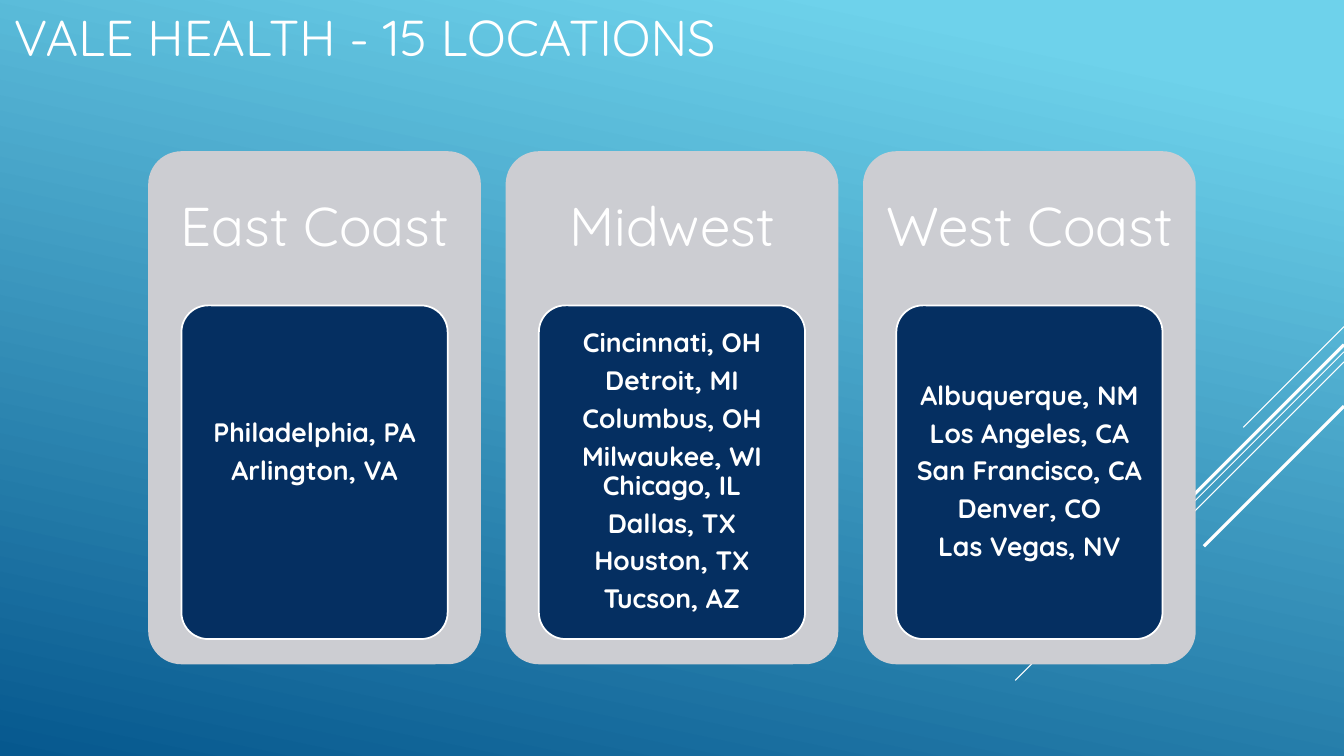
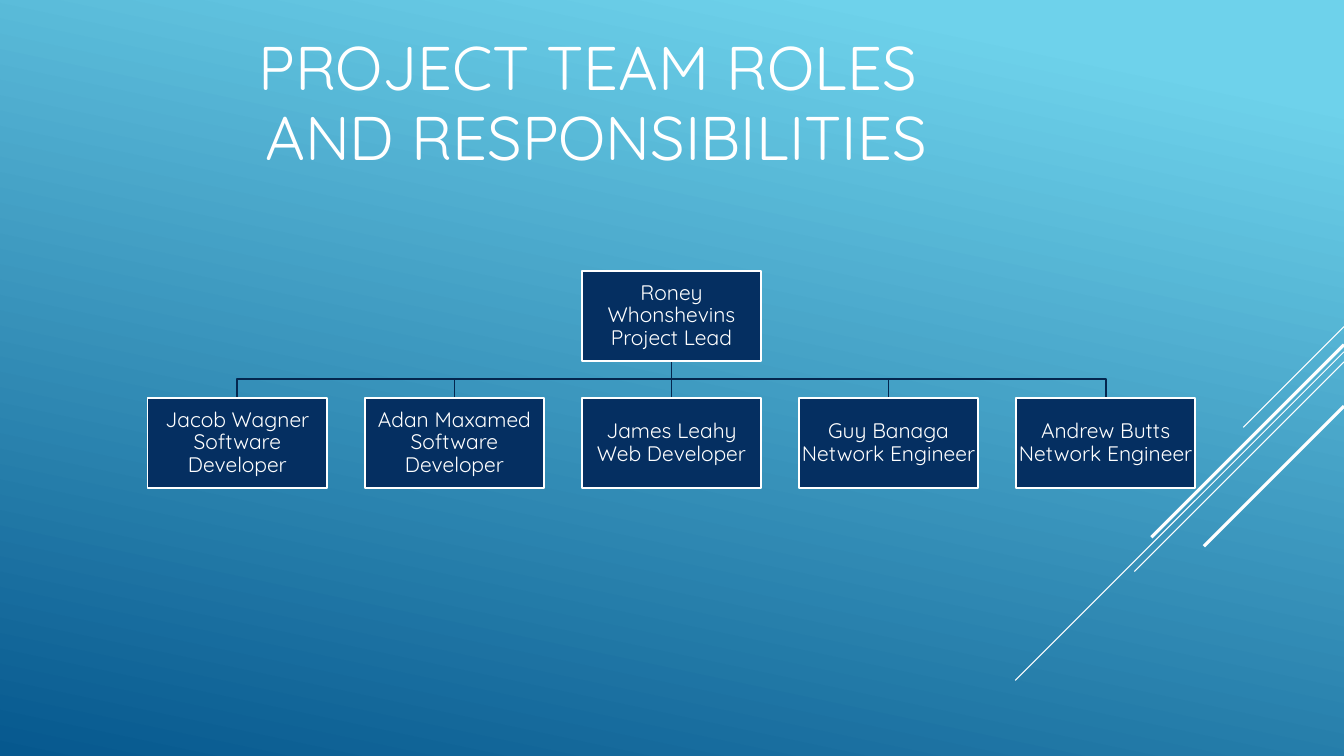
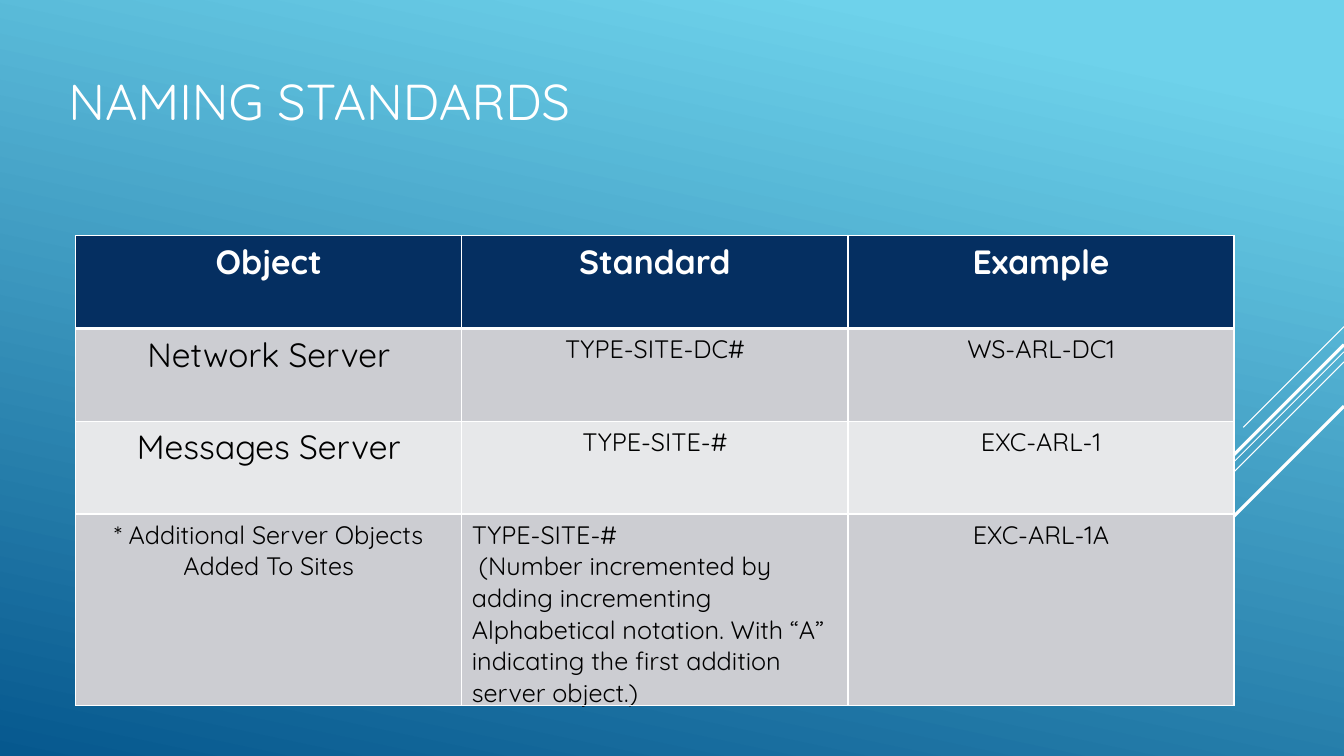
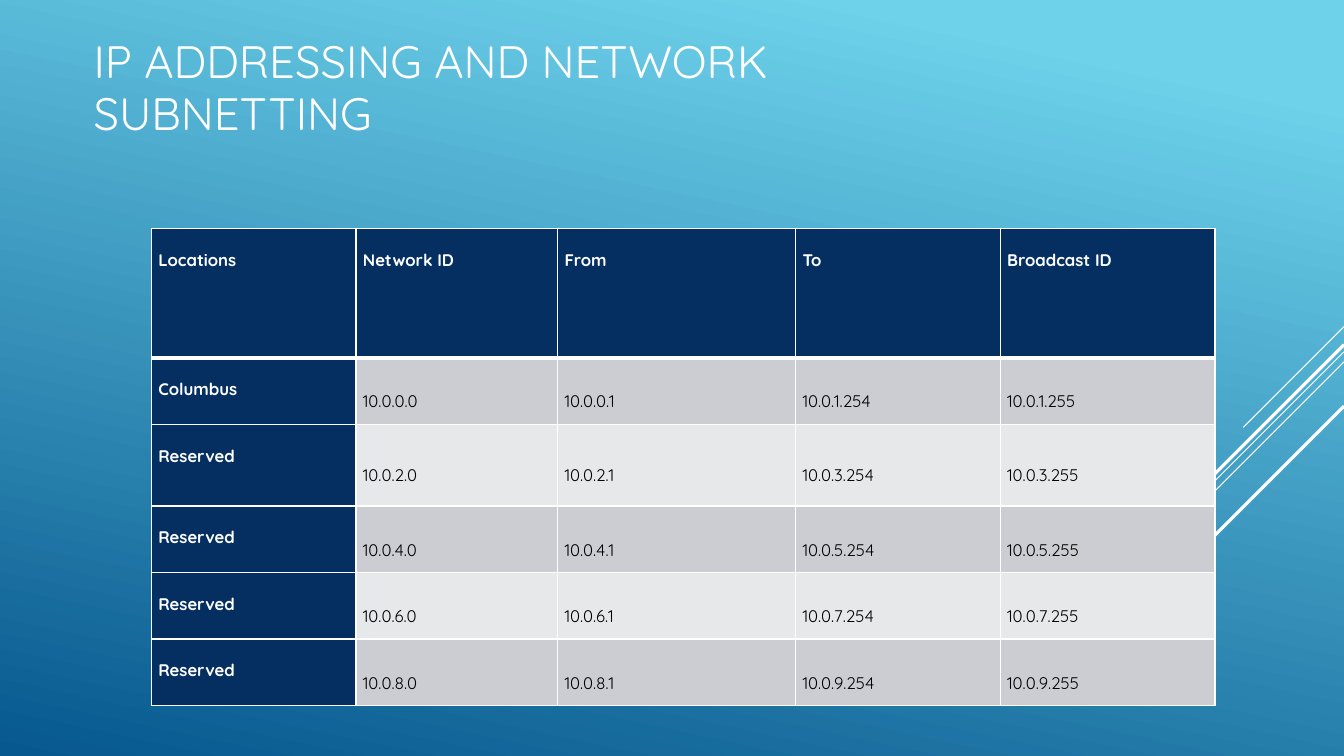
"""Build four slides on a clinic network: locations, team, naming and addressing."""
from lxml.etree import SubElement
from pptx import Presentation
from pptx.dml.color import RGBColor
from pptx.enum.shapes import MSO_CONNECTOR, MSO_SHAPE
from pptx.enum.text import MSO_ANCHOR as ANCHOR, PP_ALIGN as ALIGN
from pptx.oxml.ns import qn
from pptx.util import Inches, Pt

WHITE = RGBColor(0xFF, 0xFF, 0xFF)
BLACK = RGBColor(0x00, 0x00, 0x00)
NAVY = RGBColor(0x05, 0x2F, 0x61)
DARK_NAVY = RGBColor(0x04, 0x26, 0x4E)
GREY = RGBColor(0xCC, 0xCD, 0xD2)
PALE_GREY = RGBColor(0xE7, 0xE8, 0xEA)
SKY = RGBColor(0x6E, 0xD2, 0xEB)
OCEAN = RGBColor(0x06, 0x58, 0x8E)
FONT = "Quicksand"
SLIDE_WIDTH = 13.33


def write_text(frame, text, size, color=WHITE, bold=False, align=ALIGN.CENTER,
               spacing=0.9, after=0, margins=(0.1, 0.05, 0.1, 0.05), anchor=ANCHOR.MIDDLE):
    frame.word_wrap = True
    frame.vertical_anchor = anchor
    (frame.margin_left, frame.margin_top,
     frame.margin_right, frame.margin_bottom) = [Inches(margin) for margin in margins]
    for index, line in enumerate(text.split("\n")):
        paragraph = frame.add_paragraph() if index else frame.paragraphs[0]
        paragraph.text = line
        paragraph.alignment = align
        paragraph.line_spacing = spacing
        paragraph.space_after = Pt(after)
        paragraph.font.name = FONT
        paragraph.font.size = Pt(size)
        paragraph.font.bold = bold
        paragraph.font.color.rgb = color


def add_line(slide, start, end, color, weight):
    line = slide.shapes.add_connector(
        MSO_CONNECTOR.STRAIGHT, *[Inches(value) for value in start + end])
    line.line.color.rgb = color
    line.line.width = Pt(weight)
    SubElement(line._element.spPr, qn("a:effectLst"))


presentation = Presentation()
presentation.slide_width = Inches(SLIDE_WIDTH)
presentation.slide_height = Inches(7.5)

background = presentation.slide_master.background.fill
background.gradient()
background.gradient_angle = 258
for stop, (position, color) in zip(background.gradient_stops, [(0.1, SKY), (1, OCEAN)]):
    stop.position = position
    stop.color.rgb = color

DIAGONALS = [(3.24, 1, 0.75), (3.49, 3.26, 0.75), (3.59, 2.08, 0.75),
             (3.42, 1.91, 2.25), (4.03, 1.39, 2.25)]
TITLES = [
    ("VALE HEALTH - 15 LOCATIONS", (0.04, 0.02, 10.4, 0.74), 36, ALIGN.LEFT, 0.05),
    ("PROJECT TEAM ROLES \vAND RESPONSIBILITIES", (1.25, 0.21, 9.33, 1.65), 44,
     ALIGN.CENTER, 0.05),
    ("NAMING STANDARDS", (0.58, 0.5, 9.33, 1.65), 36, ALIGN.LEFT, 0.65),
    ("IP ADDRESSING AND NETWORK SUBNETTING", (0.83, 0.33, 9.33, 1.65), 32.4,
     ALIGN.LEFT, 0.6),
]
slides = []
for title, box, size, align, bottom in TITLES:
    slide = presentation.slides.add_slide(presentation.slide_layouts[6])
    for top, length, weight in DIAGONALS:
        add_line(slide, (SLIDE_WIDTH, top), (SLIDE_WIDTH - length, top + length), WHITE, weight)
    title_box = slide.shapes.add_textbox(*[Inches(value) for value in box])
    write_text(title_box.text_frame, title, size, align=align, spacing=0.95,
               margins=(0.1, 0.05, 0.1, bottom))
    slides.append(slide)
locations_slide, team_slide, naming_slide, addressing_slide = slides

REGIONS = [
    ("East Coast", "Philadelphia, PA\nArlington, VA", 0.42),
    ("Midwest", "Cincinnati, OH\nDetroit, MI\nColumbus, OH\nMilwaukee, WI\vChicago, IL\n"
     "Dallas, TX\nHouston, TX\nTucson, AZ", 0.04),
    ("West Coast", "Albuquerque, NM\nLos Angeles, CA\nSan Francisco, CA\nDenver, CO\n"
     "Las Vegas, NV", 0.04),
]
for index, (region, cities, bottom) in enumerate(REGIONS):
    left = 1.47 + 3.545 * index
    panel = locations_slide.shapes.add_shape(
        MSO_SHAPE.ROUNDED_RECTANGLE, Inches(left), Inches(1.5), Inches(3.3), Inches(5.09))
    panel.fill.solid()
    panel.fill.fore_color.rgb = GREY
    panel.line.fill.background()
    write_text(panel.text_frame, region, 39, margins=(0.05, 0.06, 0.05, 3.62))
    card = locations_slide.shapes.add_shape(
        MSO_SHAPE.ROUNDED_RECTANGLE, Inches(left + 0.33), Inches(3.03), Inches(2.64), Inches(3.31))
    card.fill.solid()
    card.fill.fore_color.rgb = NAVY
    card.line.color.rgb = WHITE
    card.line.width = Pt(1.25)
    write_text(card.text_frame, cities, 19, bold=True, after=6.5,
               margins=(0.05, 0.04, 0.05, bottom))
    for shape in (panel, card):
        shape.adjustments[0] = 0.1
        shape.shadow.inherit = False

BOX_WIDTH, BOX_HEIGHT = 1.78, 0.89
LEAD_LEFT, LEAD_TOP, MEMBER_TOP = 5.77, 2.69, 3.95
TEAM = ["Jacob Wagner Software Developer", "Adan Maxamed Software Developer",
        "James Leahy Web Developer", "Guy Banaga Network Engineer",
        "Andrew Butts Network Engineer"]
people = [("Roney Whonshevins Project Lead", LEAD_LEFT, LEAD_TOP)]
people += [(member, LEAD_LEFT + 2.153 * (index - 2), MEMBER_TOP)
           for index, member in enumerate(TEAM)]
trunk, trunk_top, branch = LEAD_LEFT + BOX_WIDTH / 2, LEAD_TOP + BOX_HEIGHT, 3.76
for member, left, top in people[1:]:
    center = left + BOX_WIDTH / 2
    if left == LEAD_LEFT:
        add_line(team_slide, (trunk, trunk_top), (trunk, MEMBER_TOP), DARK_NAVY, 1.25)
        continue
    builder = team_slide.shapes.build_freeform(Inches(trunk), Inches(trunk_top))
    builder.add_line_segments(
        [(Inches(x), Inches(y))
         for x, y in [(trunk, branch), (center, branch), (center, MEMBER_TOP)]], close=False)
    elbow = builder.convert_to_shape()
    elbow.fill.background()
    elbow.line.color.rgb = DARK_NAVY
    elbow.line.width = Pt(1.25)
    elbow.shadow.inherit = False
for person, left, top in people:
    box = team_slide.shapes.add_shape(
        MSO_SHAPE.RECTANGLE, Inches(left), Inches(top), Inches(BOX_WIDTH), Inches(BOX_HEIGHT))
    box.fill.solid()
    box.fill.fore_color.rgb = NAVY
    box.line.color.rgb = WHITE
    box.line.width = Pt(1.25)
    box.shadow.inherit = False
    write_text(box.text_frame, person, 15, margins=(0.01, 0.01, 0.01, 0.01))

NAMING = [
    ("Object", "Standard", "Example"),
    ("Network Server", "TYPE-SITE-DC#", "WS-ARL-DC1"),
    ("Messages Server", "TYPE-SITE-#", "EXC-ARL-1"),
    ("* Additional Server Objects Added To Sites",
     "TYPE-SITE-#\n (Number incremented by adding incrementing Alphabetical notation. "
     "With “A” indicating the first addition server object.)", "EXC-ARL-1A"),
]
ADDRESSES = [("Locations", "Network ID", "From", "To", "Broadcast ID")]
for subnet, site in zip(range(0, 10, 2), ["Columbus"] + ["Reserved"] * 4):
    ADDRESSES.append((site, f"10.0.{subnet}.0", f"10.0.{subnet}.1",
                      f"10.0.{subnet + 1}.254", f"10.0.{subnet + 1}.255"))
TABLES = [
    (naming_slide, NAMING, 0.75, 2.34, [3.83] * 3, [0.92, 0.92, 0.92, 1.6]),
    (addressing_slide, ADDRESSES, 1.5, 2.27, [2.03, 2, 2.36, 2.03, 2.13],
     [1.28, 0.66, 0.81, 0.66, 0.66, 0.66]),
]
for slide, rows, left, top, widths, heights in TABLES:
    table = slide.shapes.add_table(
        len(rows), len(widths), Inches(left), Inches(top),
        Inches(sum(widths)), Inches(sum(heights))).table
    table.horz_banding = False
    for column, width in zip(table.columns, widths):
        column.width = Inches(width)
    for row, height in zip(table.rows, heights):
        row.height = Inches(height)
    for row_index, texts in enumerate(rows):
        for column_index, text in enumerate(texts):
            cell = table.cell(row_index, column_index)
            properties = cell._tc.get_or_add_tcPr()
            for side in ("lnL", "lnR", "lnT", "lnB"):
                thick = (row_index, side) in [(0, "lnB"), (1, "lnT")]
                border = SubElement(properties, qn(f"a:{side}"), w=str(Pt(3 if thick else 1)))
                SubElement(SubElement(border, qn("a:solidFill")), qn("a:srgbClr"), val=str(WHITE))
            is_address = slide is addressing_slide
            is_heading = row_index == 0 or is_address and column_index == 0
            cell.fill.solid()
            cell.fill.fore_color.rgb = (
                NAVY if is_heading else GREY if row_index % 2 else PALE_GREY)
            color = WHITE if is_heading else BLACK
            cell.vertical_anchor = (
                ANCHOR.MIDDLE if is_address and not is_heading else ANCHOR.TOP)
            margin_x, margin_y = (0.07, 0) if is_address else (0.1, 0.05)
            cell.margin_left = cell.margin_right = Inches(margin_x)
            cell.margin_top = cell.margin_bottom = Inches(margin_y)
            large = row_index == 0 or column_index == 0 and row_index < 3
            size = 12 if is_address else 24 if large else 18
            align = ALIGN.LEFT if is_address or "\n" in text else ALIGN.CENTER
            write_text(cell.text_frame, text, size, color, is_heading, align,
                       spacing=2.0 if is_address else 1.0,
                       margins=(margin_x, margin_y, margin_x, margin_y),
                       anchor=cell.vertical_anchor)

presentation.save("out.pptx")
